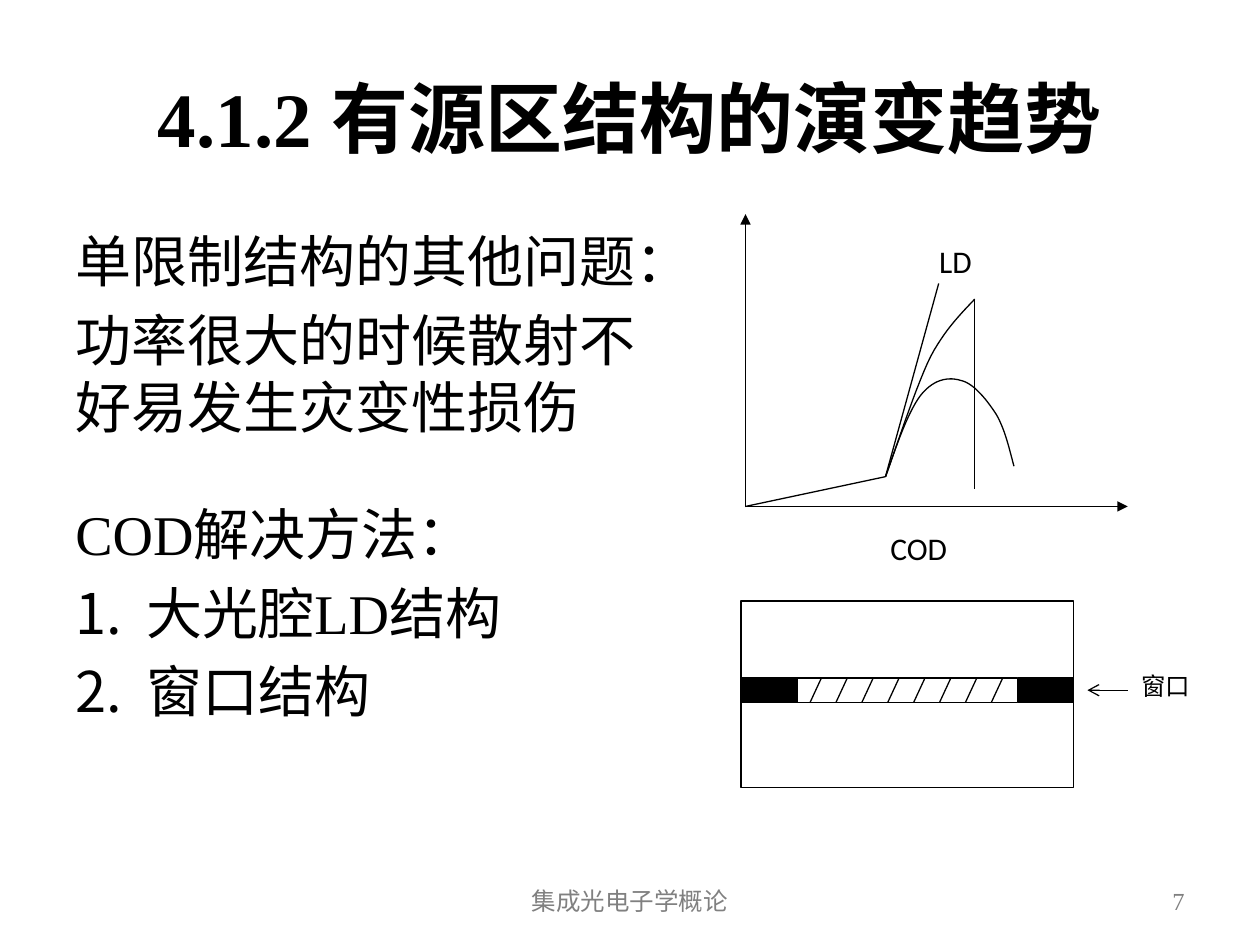
from collections import namedtuple
from dataclasses import dataclass

from lxml.etree import SubElement
from pptx import Presentation
from pptx.dml.color import RGBColor
from pptx.enum.shapes import MSO_CONNECTOR, MSO_SHAPE
from pptx.enum.text import MSO_ANCHOR, PP_ALIGN
from pptx.oxml.ns import qn
from pptx.util import Pt

Box = namedtuple("Box", "left top width height")


@dataclass(frozen=True)
class Theme:
    ink: RGBColor = RGBColor(0, 0, 0)
    paper: RGBColor = RGBColor(255, 255, 255)
    muted: RGBColor = RGBColor(128, 128, 128)
    serif: str = "Times New Roman"
    sans: str = "Calibri"
    title: float = 44
    body: float = 32
    label: float = 18
    small: float = 14
    stroke: float = 0.75


THEME = Theme()


def add_run(paragraph, text, size, font, color=THEME.ink, bold=False):
    run = paragraph.add_run()
    run.text = text
    run.font.size = Pt(size)
    run.font.name = font
    run.font.bold = bold
    run.font.color.rgb = color


def add_frame(slide, box, anchor=MSO_ANCHOR.TOP):
    frame = slide.shapes.add_textbox(*map(Pt, box)).text_frame
    frame.word_wrap = True
    frame.vertical_anchor = anchor
    return frame


def add_label(slide, box, text, size, font, align=PP_ALIGN.CENTER,
              anchor=MSO_ANCHOR.MIDDLE, inset=True, **style):
    frame = add_frame(slide, box, anchor)
    if not inset:
        frame.margin_left = frame.margin_right = 0
        frame.margin_top = frame.margin_bottom = 0
    paragraph = frame.paragraphs[0]
    paragraph.alignment = align
    add_run(paragraph, text, size, font, **style)


def set_stroke(line):
    line.color.rgb = THEME.ink
    line.width = Pt(THEME.stroke)


def add_line(slide, start, end, head=None):
    """Draw a straight line, with an arrowhead of type head at its end."""
    line = slide.shapes.add_connector(
        MSO_CONNECTOR.STRAIGHT, *map(Pt, (*start, *end)))
    set_stroke(line.line)
    properties = line.line._get_or_add_ln().getparent()
    if head:
        SubElement(line.line._get_or_add_ln(), qn("a:tailEnd"), type=head)
    SubElement(properties, qn("a:effectLst"))


def add_rect(slide, box, fill):
    rect = slide.shapes.add_shape(MSO_SHAPE.RECTANGLE, *map(Pt, box))
    rect.shadow.inherit = False
    rect.fill.solid()
    rect.fill.fore_color.rgb = fill
    set_stroke(rect.line)


def bezier_points(controls, steps=14):
    """Sample a chain of cubic Bezier segments that share end points."""
    points = [controls[0]]
    for first in range(0, len(controls) - 1, 3):
        segment = controls[first:first + 4]
        for step in range(1, steps + 1):
            t = step / steps
            weights = ((1 - t) ** 3, 3 * t * (1 - t) ** 2,
                       3 * t ** 2 * (1 - t), t ** 3)
            points.append(tuple(
                sum(w * value for w, value in zip(weights, axis))
                for axis in zip(*segment)))
    return points


def add_curve(slide, controls):
    start, *rest = [(Pt(x), Pt(y)) for x, y in bezier_points(controls)]
    builder = slide.shapes.build_freeform(*start)
    builder.add_line_segments(rest, close=False)
    curve = builder.convert_to_shape()
    curve.shadow.inherit = False
    curve.fill.background()
    set_stroke(curve.line)


def add_body(slide, box):
    frame = add_frame(slide, box)
    gap = 0.2 * THEME.body
    lines = (
        ("单限制结构的其他问题：", gap, False),
        ("功率很大的时候散射不好易发生灾变性损伤", gap, False),
        ("COD解决方法：", gap + 28, False),
        ("大光腔LD结构", gap, True),
        ("窗口结构", gap, True),
    )
    for index, (text, before, numbered) in enumerate(lines):
        paragraph = frame.add_paragraph() if index else frame.paragraphs[0]
        paragraph.space_before = Pt(before)
        add_run(paragraph, text, THEME.body, THEME.serif)
        if numbered:
            properties = paragraph._p.get_or_add_pPr()
            indent = Pt(40.5)
            properties.set("marL", str(indent))
            properties.set("indent", str(-indent))
            SubElement(properties, qn("a:buFont"), typeface=THEME.sans)
            SubElement(properties, qn("a:buAutoNum"), type="arabicPeriod")


def add_power_plot(slide, box):
    """Draw laser output curves; offsets count right and up from the origin."""
    def at(right, up):
        return box.left + right, box.top + box.height - up

    origin, threshold = at(0, 0), at(80, 17)
    add_line(slide, origin, at(box.width, 0), "triangle")
    add_line(slide, origin, at(0, box.height), "triangle")
    add_line(slide, origin, threshold)
    add_line(slide, threshold, at(110.4, 127.4))
    add_line(slide, at(131, 10), at(131, 118.5))

    damaged = ((84.2, 28), (97.2, 68.4), (105.8, 85.7),
               (114.5, 102.2), (125.3, 112.3), (131, 118.5))
    saturated = ((86.4, 35.3), (92.9, 54), (100, 63.4),
                 (107.3, 72.7), (115.9, 74.2), (123, 72),
                 (130.3, 70.6), (138.2, 60.5), (143.3, 52.6),
                 (148.3, 43.9), (150.5, 33.8), (153.4, 23))
    for controls in (damaged, saturated):
        add_curve(slide, [threshold, *(at(*point) for point in controls)])

    for text, corner in (("LD", at(85, 151)), ("COD", at(64, -13))):
        add_label(slide, Box(*corner, 70, 30), text, THEME.label, THEME.sans,
                  anchor=MSO_ANCHOR.TOP, inset=False)


def add_window_device(slide, box):
    """Draw a laser with a hatched active layer between two dark windows."""
    window_width, layer_height = 32, 14
    top = box.top + 44
    bottom = top + layer_height
    right = box.left + box.width
    inner_left, inner_right = box.left + window_width, right - window_width

    add_rect(slide, box, THEME.paper)
    for left in (box.left, inner_right):
        add_rect(slide, Box(left, top, window_width, layer_height), THEME.ink)
    for y in (top, bottom):
        add_line(slide, (inner_left, y), (inner_right, y))
    for index in range(8):
        x = inner_left + 14 + 14.8 * index
        add_line(slide, (x, top), (x - 6.5, bottom))

    middle = (top + bottom) / 2
    add_line(slide, (right + 31, middle), (right + 8, middle), "arrow")
    add_label(slide, Box(right + 31.7, middle - 14.5, 49, 24.5), "窗口",
              THEME.small, THEME.sans, PP_ALIGN.LEFT, MSO_ANCHOR.TOP)


def main():
    deck = Presentation()
    deck.slide_width, deck.slide_height = Pt(720), Pt(540)
    slide = deck.slides.add_slide(deck.slide_layouts[6])
    add_label(slide, Box(36, 21.6, 648, 90), "4.1.2 有源区结构的演变趋势",
              THEME.title, THEME.serif, bold=True)
    add_body(slide, Box(36, 126, 355.7, 356.4))
    add_power_plot(slide, Box(426, 122.4, 218.4, 167))
    add_window_device(slide, Box(423.4, 343.4, 190, 106.6))
    add_label(slide, Box(246, 500.4, 228, 28.8), "集成光电子学概论",
              THEME.small, THEME.sans, color=THEME.muted)
    add_label(slide, Box(516, 500.4, 168, 28.8), "7", THEME.small,
              THEME.serif, PP_ALIGN.RIGHT, color=THEME.muted)
    deck.save("out.pptx")


if __name__ == "__main__":
    main()
